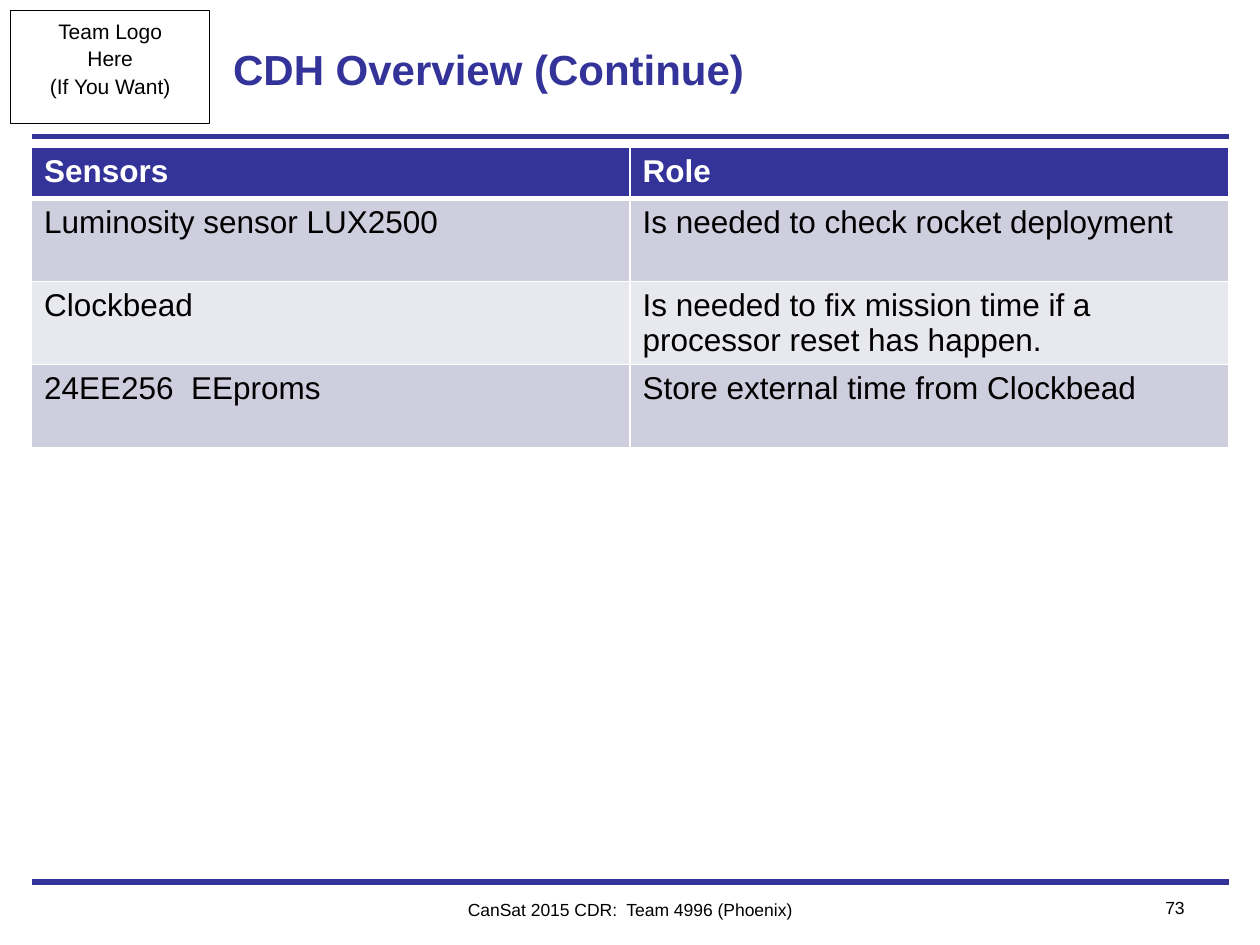
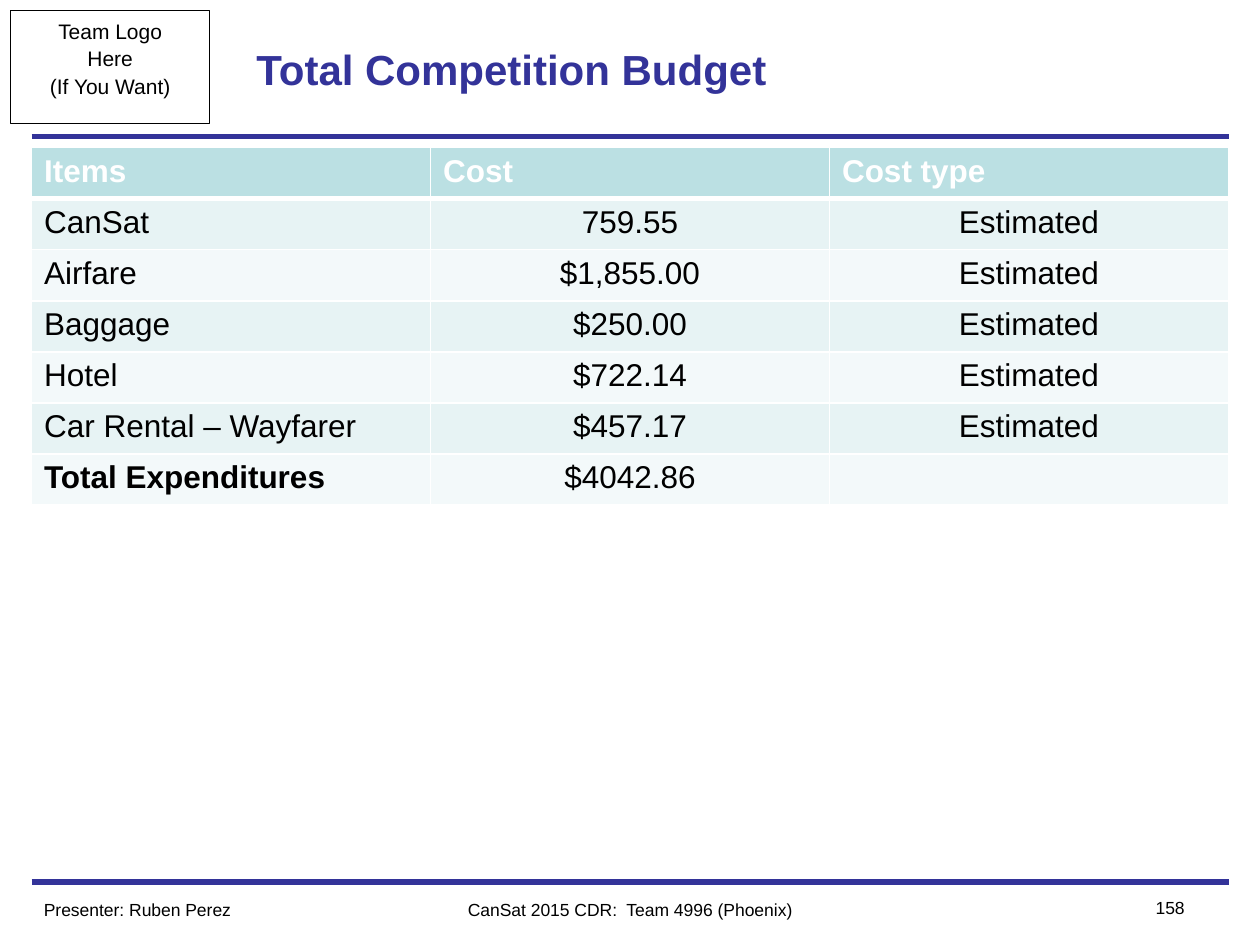
from lxml import etree
from pptx import Presentation
from pptx.dml.color import RGBColor
from pptx.enum.shapes import MSO_CONNECTOR, MSO_SHAPE
from pptx.enum.text import MSO_ANCHOR, MSO_AUTO_SIZE, PP_ALIGN
from pptx.oxml import parse_xml
from pptx.oxml.ns import nsdecls, qn
from pptx.util import Pt

LEFT, CENTER, RIGHT = PP_ALIGN.LEFT, PP_ALIGN.CENTER, PP_ALIGN.RIGHT
MIDDLE, TOP = MSO_ANCHOR.MIDDLE, MSO_ANCHOR.TOP
NAVY, WHITE, BLACK = "333399", "FFFFFF", "000000"
MARGIN, CONTENT_WIDTH = 18, 684
HEADER_HEIGHT = 29.2


def rgb(hex_color):
    return RGBColor.from_string(hex_color)


def format_text(paragraph, size, color=BLACK, align=LEFT, bold=False):
    paragraph.alignment = align
    paragraph.font.name = "Arial"
    paragraph.font.size = Pt(size)
    paragraph.font.bold = bold
    paragraph.font.color.rgb = rgb(color)


# Content of the slides
pages = [
    {
        "title": "CDH Overview (Continue)",
        "title_inset": 7.2,
        "number": "73",
        "presenter": None,
        "row_height": 47.3,
        "fills": (NAVY, "CECEDE", "E8E8EF"),
        "value_align": LEFT,
        "rows": [
            ("Sensors", "Role"),
            ("Luminosity sensor LUX2500", "Is needed to check rocket deployment"),
            ("Clockbead", "Is needed to fix mission time if a processor reset has happen."),
            ("24EE256  EEproms", "Store external time from Clockbead"),
        ],
    },
    {
        "title": "Total Competition Budget",
        "title_inset": 20.5,
        "number": "158",
        "presenter": "Presenter: Ruben Perez",
        "row_height": HEADER_HEIGHT,
        "fills": ("BBE0E3", "E7F3F4", "F3F9FA"),
        "value_align": CENTER,
        "rows": [
            ("Items", "Cost", "Cost type"),
            ("CanSat", "759.55", "Estimated"),
            ("Airfare", "$1,855.00", "Estimated"),
            ("Baggage", "$250.00", "Estimated"),
            ("Hotel", "$722.14", "Estimated"),
            ("Car Rental – Wayfarer", "$457.17", "Estimated"),
            ("Total Expenditures", "$4042.86", ""),
        ],
    },
]

prs = Presentation()
prs.slide_width, prs.slide_height = Pt(720), Pt(540)

for page in pages:
    slide = prs.slides.add_slide(prs.slide_layouts[5])

    # Rules above and below the content
    for y in (504, 78):
        rule = slide.shapes.add_connector(
            MSO_CONNECTOR.STRAIGHT, Pt(MARGIN), Pt(y), Pt(MARGIN + CONTENT_WIDTH), Pt(y))
        rule.line.color.rgb = rgb(NAVY)
        rule.line.width = Pt(3)
        etree.SubElement(rule._element.spPr, qn("a:effectLst"))

    # Space for the team logo
    logo_space = slide.shapes.add_shape(MSO_SHAPE.RECTANGLE, Pt(6), Pt(6), Pt(114), Pt(64.8))
    logo_space.shadow.inherit = False
    logo_space.fill.background()
    logo_space.line.color.rgb = rgb(BLACK)
    logo_space.line.width = Pt(0.5)
    logo_space.text_frame.word_wrap = False
    logo_space.text_frame.vertical_anchor = TOP
    logo_space.text_frame.text = "Team Logo\nHere\n(If You Want)"
    for paragraph in logo_space.text_frame.paragraphs:
        format_text(paragraph, 12, align=CENTER)
        paragraph.line_spacing = 1.08

    # Title
    title = slide.shapes.title
    title.left, title.top, title.width, title.height = Pt(126), Pt(6), Pt(468), Pt(66)
    title.text_frame.text = page["title"]
    title.text_frame.auto_size = MSO_AUTO_SIZE.NONE
    title.text_frame.vertical_anchor = MIDDLE
    title.text_frame.margin_left = Pt(page["title_inset"])
    format_text(title.text_frame.paragraphs[0], 24, NAVY, bold=True)

    # Table with a header row and banded rows
    rows = page["rows"]
    column_count = len(rows[0])
    heights = [HEADER_HEIGHT] + [page["row_height"]] * (len(rows) - 1)
    table = slide.shapes.add_table(
        len(rows), column_count, Pt(MARGIN), Pt(84.3), Pt(CONTENT_WIDTH), Pt(sum(heights))).table
    for column in table.columns:
        column.width = Pt(CONTENT_WIDTH / column_count)
    header_fill, *band_fills = page["fills"]
    for r, row in enumerate(rows):
        table.rows[r].height = Pt(heights[r])
        is_header = r == 0
        for c, text in enumerate(row):
            cell = table.cell(r, c)
            for side in "LRTB":
                heavy = (is_header and side == "B") or (r == 1 and side == "T")
                cell._tc.get_or_add_tcPr().append(parse_xml(
                    f'<a:ln{side} {nsdecls("a")} w="{Pt(3 if heavy else 1)}"><a:solidFill>'
                    f'<a:srgbClr val="{WHITE}"/></a:solidFill></a:ln{side}>'))
            cell.fill.solid()
            cell.fill.fore_color.rgb = rgb(header_fill if is_header else band_fills[(r - 1) % 2])
            cell.text = text
            format_text(
                cell.text_frame.paragraphs[0], 18,
                color=WHITE if is_header else BLACK,
                align=LEFT if is_header or c == 0 else page["value_align"],
                bold=is_header or text == "Total Expenditures")

    # Footer
    footers = [
        ("CanSat 2015 CDR:  Team 4996 (Phoenix)", 216, 510, 288, CENTER),
        (page["number"], 630, 509, 54, RIGHT),
        (page["presenter"], MARGIN, 510, 180, LEFT),
    ]
    for text, left, top, width, align in footers:
        if text:
            footer = slide.shapes.add_textbox(Pt(left), Pt(top), Pt(width), Pt(19.4))
            footer.text_frame.word_wrap = True
            footer.text_frame.text = text
            format_text(footer.text_frame.paragraphs[0], 10, align=align)

prs.save("out.pptx")
